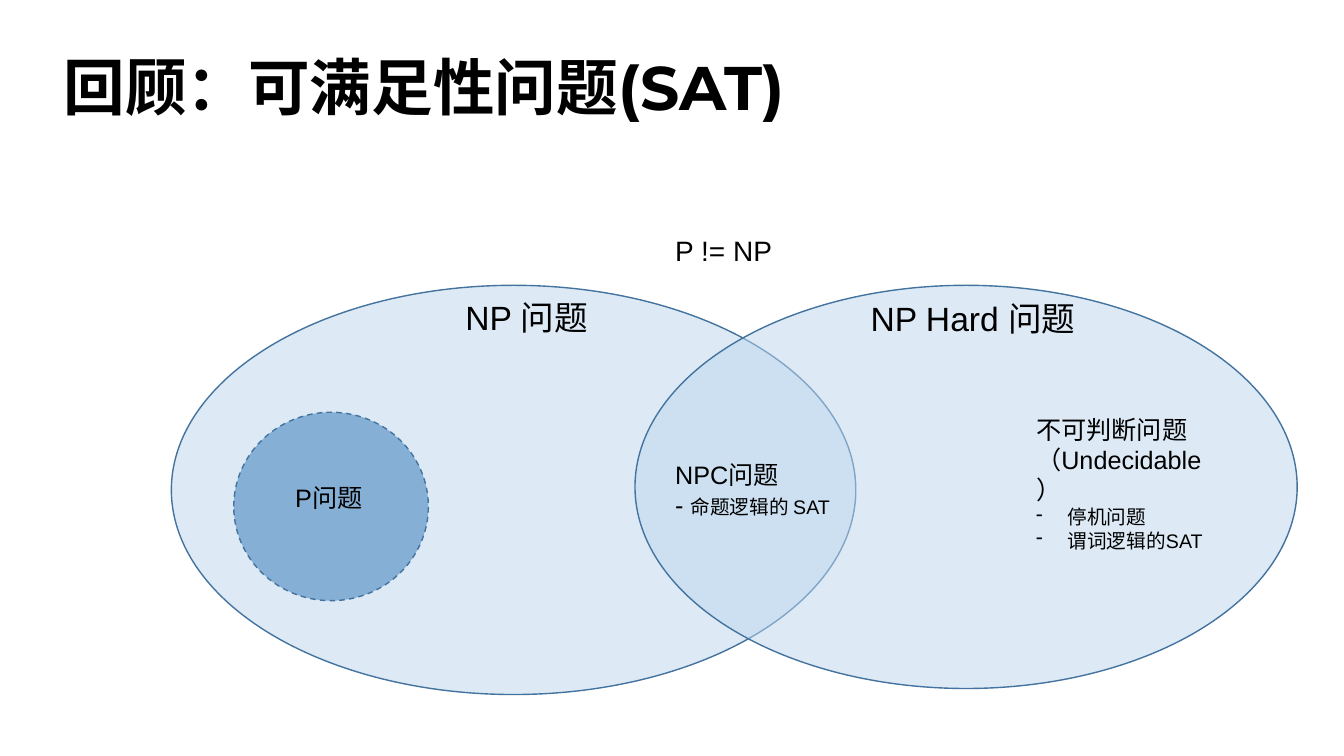
from dataclasses import dataclass

from lxml.etree import SubElement
from pptx import Presentation
from pptx.dml.color import RGBColor
from pptx.enum.dml import MSO_LINE
from pptx.enum.shapes import MSO_SHAPE
from pptx.enum.text import MSO_ANCHOR, MSO_AUTO_SIZE, PP_ALIGN
from pptx.oxml.ns import qn
from pptx.util import Pt


@dataclass(frozen=True)
class Theme:
    title_font: str = "Montserrat"
    body_font: str = "Arial"
    ink: str = "000000"
    outline: str = "43739E"
    pale: str = "BDD7EE"
    deep: str = "2E75B6"
    title: int = 44
    heading: int = 24
    remark: int = 20
    label: int = 18
    detail: int = 14
    opacity: int = 50


theme = Theme()

# Content: every box is (left, top, width, height) in points
TITLE = "回顾：可满足性问题(SAT)"
TITLE_BOX = (38.2, 12.2, 828, 104.4)

# box, fill colour, dashed outline
SETS = [
    ((122.4, 203.8, 488.9, 292.3), theme.pale, False),
    ((453.6, 203.8, 473, 288), theme.pale, False),
    ((167, 294.5, 139, 134.6), theme.deep, True),
]

# box, wraps, paragraphs as (bulleted, [(text, size), ...])
LABELS = [
    ((733, 292.3, 138.2, 85), True, [
        (False, [("不可判断问题", theme.label)]),
        (False, [("（Undecidable）", theme.label)]),
        (True, [("停机问题", theme.detail)]),
        (True, [("谓词逻辑的SAT", theme.detail)]),
    ]),
    ((614.8, 209.5, 200, 36), True, [(False, [("NP Hard 问题", theme.heading)])]),
    ((325.4, 208.8, 138.2, 36), True, [(False, [("NP 问题", theme.heading)])]),
    ((475.2, 324.7, 144, 51), True, [
        (False, [("NPC问题", theme.label)]),
        (False, [("- ", theme.label), ("命题逻辑的 SAT", theme.detail)]),
    ]),
    ((203.8, 341.3, 67.7, 29), True, [(False, [("P问题", theme.label)])]),
    ((475.2, 163.4, 84.2, 31.7), False, [(False, [("P != NP", theme.remark)])]),
]
BULLET_INDENT = 22.5


def points(box):
    return [Pt(value) for value in box]


def add_span(para, text, size, font, bold=False):
    span = para.add_run()
    span.text = text
    span.font.size = Pt(size)
    span.font.name = font
    span.font.bold = bold
    span.font.color.rgb = RGBColor.from_string(theme.ink)


def add_bullet(para):
    properties = para._p.get_or_add_pPr()
    properties.set("marL", str(Pt(BULLET_INDENT)))
    properties.set("indent", str(-Pt(BULLET_INDENT)))
    SubElement(properties, qn("a:buChar")).set("char", "-")


def add_set(page, box, color, dashed):
    oval = page.shapes.add_shape(MSO_SHAPE.OVAL, *points(box))
    oval.shadow.inherit = False
    oval.fill.solid()
    oval.fill.fore_color.rgb = RGBColor.from_string(color)
    fill_color = oval.fill._xPr.find(qn("a:solidFill"))[0]
    SubElement(fill_color, qn("a:alpha")).set("val", str(theme.opacity * 1000))
    oval.line.color.rgb = RGBColor.from_string(theme.outline)
    oval.line.width = Pt(1)
    if dashed:
        oval.line.dash_style = MSO_LINE.DASH


def add_label(page, box, wraps, paragraphs):
    frame = page.shapes.add_textbox(*points(box)).text_frame
    frame.word_wrap = wraps
    frame.auto_size = MSO_AUTO_SIZE.SHAPE_TO_FIT_TEXT
    for index, (bulleted, spans) in enumerate(paragraphs):
        para = frame.add_paragraph() if index else frame.paragraphs[0]
        if bulleted:
            add_bullet(para)
        for text, size in spans:
            add_span(para, text, size, theme.body_font)


def add_title(page):
    title = page.shapes.title
    title.left, title.top, title.width, title.height = points(TITLE_BOX)
    frame = title.text_frame
    frame.auto_size = MSO_AUTO_SIZE.NONE
    frame.vertical_anchor = MSO_ANCHOR.MIDDLE
    para = frame.paragraphs[0]
    para.alignment = PP_ALIGN.LEFT
    para.line_spacing = 0.9
    add_span(para, TITLE, theme.title, theme.title_font, bold=True)


def main():
    deck = Presentation()
    deck.slide_width, deck.slide_height = Pt(960), Pt(540)
    page = deck.slides.add_slide(deck.slide_layouts[5])

    # Title
    add_title(page)

    # Problem classes, then their labels on top
    for problem_set in SETS:
        add_set(page, *problem_set)
    for label in LABELS:
        add_label(page, *label)

    deck.save("out.pptx")


if __name__ == "__main__":
    main()
